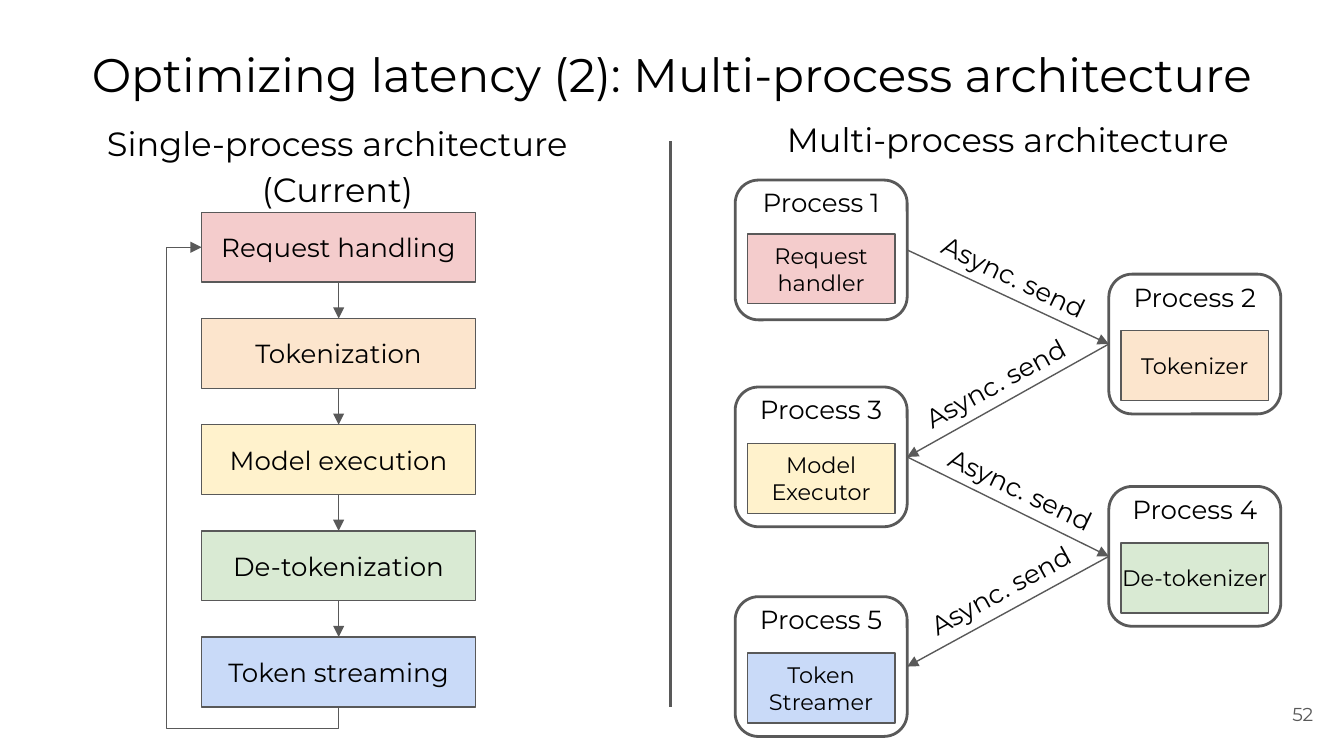
from dataclasses import dataclass
from itertools import pairwise

from lxml import etree
from pptx import Presentation
from pptx.dml.color import RGBColor
from pptx.enum import shapes, text
from pptx.oxml import ns
from pptx.util import Inches, Pt

FONT = "Montserrat"
BLACK, GRAY = "000000", "595959"
RED, ORANGE, YELLOW, GREEN, BLUE = "F4CCCC", "FCE5CD", "FFF2CC", "D9EAD3", "C9DAF8"
TOP, LEFT, BOTTOM, RIGHT = range(4)
RECT = shapes.MSO_SHAPE.RECTANGLE
ROUNDED = shapes.MSO_SHAPE.ROUNDED_RECTANGLE
MIDDLE = text.MSO_ANCHOR.MIDDLE


@dataclass
class Area:
    left: float
    top: float
    width: float
    height: float

    def emu(self) -> list[int]:
        return [Inches(v) for v in (self.left, self.top, self.width, self.height)]


@dataclass
class Step:
    label: str
    color: str


@dataclass
class Process:
    left: float
    top: float
    label: str
    color: str
    task_offset: float = 0.42


@dataclass
class SendLabel:
    left: float
    top: float
    rotation: float


STEPS = [
    Step("Request handling", RED),
    Step("Tokenization", ORANGE),
    Step("Model execution", YELLOW),
    Step("De-tokenization", GREEN),
    Step("Token streaming", BLUE),
]
STEP_LEFT, STEP_TOP, STEP_PITCH = 1.5, 1.58, 0.79
STEP_WIDTH, BOX_HEIGHT = 2.04, 0.52

PROCESSES = [
    Process(5.47, 1.34, "Request handler", RED, 0.4),
    Process(8.25, 2.04, "Tokenizer", ORANGE),
    Process(5.47, 2.88, "Model\nExecutor", YELLOW),
    Process(8.25, 3.62, "De-tokenizer", GREEN),
    Process(5.47, 4.44, "Token\nStreamer", BLUE),
]
DOWN, UP = 25.6, 331.3
SEND_LABELS = [
    SendLabel(6.84, 1.9, DOWN),
    SendLabel(6.7, 2.69, UP),
    SendLabel(6.89, 3.48, DOWN),
    SendLabel(6.74, 4.23, UP),
]


def rgb(color: str) -> RGBColor:
    return RGBColor.from_string(color)


def write(shape, content: str, size: float, color: str = BLACK,
          align=text.PP_ALIGN.CENTER, anchor=text.MSO_ANCHOR.TOP,
          side: float = 0.1, top: float = 0.1, **paragraph_format) -> None:
    frame = shape.text_frame
    frame_format = {
        "word_wrap": True, "vertical_anchor": anchor,
        "margin_left": Inches(side), "margin_right": Inches(side),
        "margin_top": Inches(top), "margin_bottom": Inches(0.1),
    }
    for name, value in frame_format.items():
        setattr(frame, name, value)
    frame.text = content
    for paragraph in frame.paragraphs:
        for name, value in {"alignment": align, **paragraph_format}.items():
            setattr(paragraph, name, value)
        for name, value in {"name": FONT, "size": Pt(size)}.items():
            setattr(paragraph.font, name, value)
        paragraph.font.color.rgb = rgb(color)


def add_text(slide, area: Area, content: str, size: float, **format_values):
    box = slide.shapes.add_textbox(*area.emu())
    write(box, content, size, **format_values)
    return box


def add_box(slide, kind, area: Area, content: str, size: float,
            fill: str | None = None, line_width: float = 0.75, **format_values):
    box = slide.shapes.add_shape(kind, *area.emu())
    box.shadow.inherit = False
    if fill:
        box.fill.solid()
        box.fill.fore_color.rgb = rgb(fill)
    else:
        box.fill.background()
    box.line.color.rgb = rgb(GRAY)
    box.line.width = Pt(line_width)
    write(box, content, size, **format_values)
    return box


def add_line(slide, kind, start: tuple[float, float] = (0, 0),
             end: tuple[float, float] = (0, 0), width: float = 0.75):
    line = slide.shapes.add_connector(kind, *(Inches(v) for v in (*start, *end)))
    line.line.color.rgb = rgb(GRAY)
    line.line.width = Pt(width)
    etree.SubElement(line._element.spPr, ns.qn("a:effectLst"))
    return line


def join(slide, source, source_side: int, target, target_side: int,
         kind=shapes.MSO_CONNECTOR.STRAIGHT):
    """Draw an arrow from one box side to another."""
    arrow = add_line(slide, kind)
    arrow.begin_connect(source, source_side)
    arrow.end_connect(target, target_side)
    etree.SubElement(arrow.line._get_or_add_ln(), ns.qn("a:tailEnd"), type="triangle")
    return arrow


def add_loop_back(slide, last, first) -> None:
    """Route an arrow below the last step and up the left side to the first."""
    loop = join(slide, last, BOTTOM, first, LEFT, shapes.MSO_CONNECTOR.ELBOW)
    loop.left, loop.top, loop.width, loop.height = Area(0.3, 3.04, 3.42, 1.02).emu()
    transform = loop._element.spPr.find(ns.qn("a:xfrm"))
    for name, value in {"rot": "5400000", "flipH": "1", "flipV": "0"}.items():
        transform.set(name, value)
    geometry = loop._element.spPr.find(ns.qn("a:prstGeom"))
    geometry.set("prst", "bentConnector4")
    guides = geometry.find(ns.qn("a:avLst"))
    if guides is None:
        guides = etree.SubElement(geometry, ns.qn("a:avLst"))
    for name, value in {"adj1": -4700, "adj2": 125600}.items():
        etree.SubElement(guides, ns.qn("a:gd"), name=name, fmla=f"val {value}")


def draw_single_process(slide) -> None:
    add_text(slide, Area(0.02, 0.77, 4.98, 0.8),
             "Single-process architecture\n(Current)", 18, line_spacing=1.15)
    boxes = [
        add_box(slide, RECT,
                Area(STEP_LEFT, STEP_TOP + i * STEP_PITCH, STEP_WIDTH, BOX_HEIGHT),
                step.label, 14, step.color, anchor=MIDDLE)
        for i, step in enumerate(STEPS)
    ]
    for upper, lower in pairwise(boxes):
        join(slide, upper, BOTTOM, lower, TOP)
    add_loop_back(slide, boxes[-1], boxes[0])


def draw_multi_process(slide) -> None:
    add_text(slide, Area(5, 0.81, 5, 0.49), "Multi-process architecture", 18,
             line_spacing=0.95, space_after=Pt(12))
    frames = []
    for number, process in enumerate(PROCESSES, 1):
        frames.append(add_box(slide, ROUNDED, Area(process.left, process.top, 1.28, 1.04),
                              f"Process {number}", 14, line_width=1.5, top=0))
        add_box(slide, RECT,
                Area(process.left + 0.09, process.top + process.task_offset, 1.1, BOX_HEIGHT),
                process.label, 12, process.color, anchor=MIDDLE, side=0)
    for i, (sender, receiver) in enumerate(pairwise(frames)):
        sides = (LEFT, RIGHT) if i % 2 else (RIGHT, LEFT)
        join(slide, sender, sides[0], receiver, sides[1])
    for send in SEND_LABELS:
        label = add_text(slide, Area(send.left, send.top, 1.41, 0.32),
                         "Async. send", 14, anchor=MIDDLE)
        label.rotation = send.rotation


def main() -> None:
    deck = Presentation()
    deck.slide_width = Inches(10)
    deck.slide_height = deck.slide_width * 9 // 16
    slide = deck.slides.add_slide(deck.slide_layouts[6])
    add_text(slide, Area(0.34, 0.24, 9.32, 0.63),
             "Optimizing latency (2): Multi-process architecture", 25.2)
    add_line(slide, shapes.MSO_CONNECTOR.STRAIGHT, (4.99, 1.05), (4.99, 5.26), 1.5)
    draw_single_process(slide)
    draw_multi_process(slide)
    add_text(slide, Area(9.27, 5.1, 0.6, 0.43), "52", 10, color=GRAY,
             align=text.PP_ALIGN.RIGHT, anchor=MIDDLE)
    deck.save("out.pptx")


if __name__ == "__main__":
    main()
